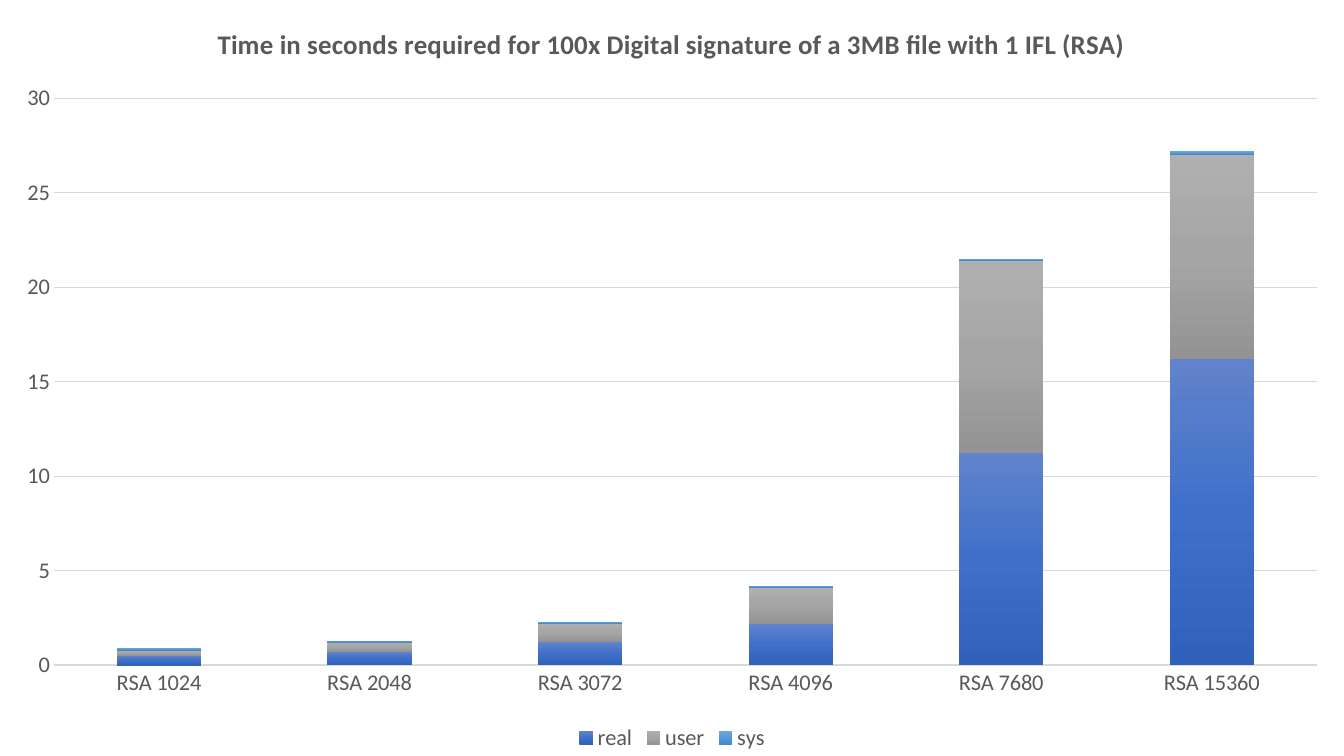
from copy import deepcopy
from dataclasses import dataclass

from lxml import etree
from pptx import Presentation
from pptx.chart.data import CategoryChartData
from pptx.chart.chart import Chart
from pptx.dml.color import RGBColor
from pptx.dml.fill import FillFormat
from pptx.enum.chart import XL_CHART_TYPE, XL_LEGEND_POSITION, XL_TICK_MARK
from pptx.oxml.ns import qn
from pptx.slide import Slide
from pptx.text.text import Font
from pptx.util import Inches, Pt

STACKED = XL_CHART_TYPE.COLUMN_STACKED
BOTTOM = XL_LEGEND_POSITION.BOTTOM
NO_TICK = XL_TICK_MARK.NONE


@dataclass(frozen=True)
class Theme:
    face: str = "Calibri"
    text: str = "595959"
    line: str = "D9D9D9"
    paper: str = "FFFFFF"
    body: float = 16
    title: float = 19.2
    axis: float = 1
    grid: float = 0.75


@dataclass(frozen=True)
class Timing:
    name: str
    values: tuple[float, ...]
    shades: tuple[str, str, str]


THEME = Theme()
WIDTH, HEIGHT = Inches(13.33), Inches(7.5)
TITLE = "Time in seconds required for 100x Digital signature of a 3MB file with 1 IFL (RSA)"
KEY_SIZES = (1024, 2048, 3072, 4096, 7680, 15360)
TIMINGS = (
    Timing("real", (0.5, 0.7, 1.2, 2.2, 11.2, 16.2), ("6183CB", "3E70CA", "3062BB")),
    Timing("user", (0.3, 0.5, 1, 1.9, 10.2, 10.8), ("AFAFAF", "A5A5A5", "939393")),
    Timing("sys", (0.1, 0.1, 0.1, 0.1, 0.1, 0.2), ("71A6DB", "559BDB", "448ACA")),
)
PLOT_AREA = {
    "layoutTarget": "inner",
    "xMode": "edge",
    "yMode": "edge",
    "x": "0.04",
    "y": "0.13",
    "w": "0.94",
    "h": "0.75",
}


def style_font(font: Font, size: float, bold: bool = False) -> None:
    font.name = THEME.face
    font.size = Pt(size)
    font.bold = bold
    font.color.rgb = RGBColor.from_string(THEME.text)


def shade_fill(fill: FillFormat, shades: tuple[str, str, str]) -> None:
    fill.gradient()
    fill.gradient_angle = 270
    stops = fill._fill._gradFill.find(qn("a:gsLst"))
    stops.insert(1, deepcopy(stops[0]))
    for stop, place, shade in zip(fill.gradient_stops, (0, 0.5, 1), shades):
        stop.position = place
        stop.color.rgb = RGBColor.from_string(shade)


def place_plot(chart: Chart) -> None:
    area = chart._chartSpace.chart.plotArea
    for old in area.findall(qn("c:layout")):
        area.remove(old)
    layout = etree.Element(qn("c:layout"))
    manual = etree.SubElement(layout, qn("c:manualLayout"))
    for tag, value in PLOT_AREA.items():
        etree.SubElement(manual, qn(f"c:{tag}")).set("val", value)
    area.insert(0, layout)


def style_axes(chart: Chart) -> None:
    line = RGBColor.from_string(THEME.line)
    for axis in (chart.category_axis, chart.value_axis):
        axis.major_tick_mark = NO_TICK
        axis.minor_tick_mark = NO_TICK
        style_font(axis.tick_labels.font, THEME.body)
    base = chart.category_axis.format.line
    base.color.rgb = line
    base.width = Pt(THEME.axis)
    scale = chart.value_axis
    scale.minimum_scale, scale.maximum_scale, scale.major_unit = 0, 30, 5
    scale.format.line.fill.background()
    scale.has_major_gridlines = True
    grid = scale.major_gridlines.format.line
    grid.color.rgb = line
    grid.width = Pt(THEME.grid)


def add_timings(slide: Slide) -> None:
    data = CategoryChartData(number_format="General")
    data.categories = [f"RSA {size}" for size in KEY_SIZES]
    for timing in TIMINGS:
        data.add_series(timing.name, timing.values)
    chart = slide.shapes.add_chart(STACKED, 0, 0, WIDTH, HEIGHT, data).chart
    style_font(chart.font, THEME.body)

    chart.has_title = True
    chart.chart_title.include_in_layout = False
    heading = chart.chart_title.text_frame
    heading.text = TITLE
    style_font(heading.paragraphs[0].runs[0].font, THEME.title, bold=True)

    chart.has_legend = True
    chart.legend.position = BOTTOM
    chart.legend.include_in_layout = False
    style_font(chart.legend.font, THEME.body)

    plot = chart.plots[0]
    plot.gap_width = 150
    plot.overlap = 100
    plot.vary_by_categories = False
    for series, timing in zip(plot.series, TIMINGS):
        shade_fill(series.format.fill, timing.shades)
    style_axes(chart)
    place_plot(chart)


def main() -> None:
    deck = Presentation()
    deck.slide_width, deck.slide_height = WIDTH, HEIGHT
    slide = deck.slides.add_slide(deck.slide_layouts[6])
    paper = slide.background.fill
    paper.solid()
    paper.fore_color.rgb = RGBColor.from_string(THEME.paper)
    add_timings(slide)
    deck.save("out.pptx")


if __name__ == "__main__":
    main()
